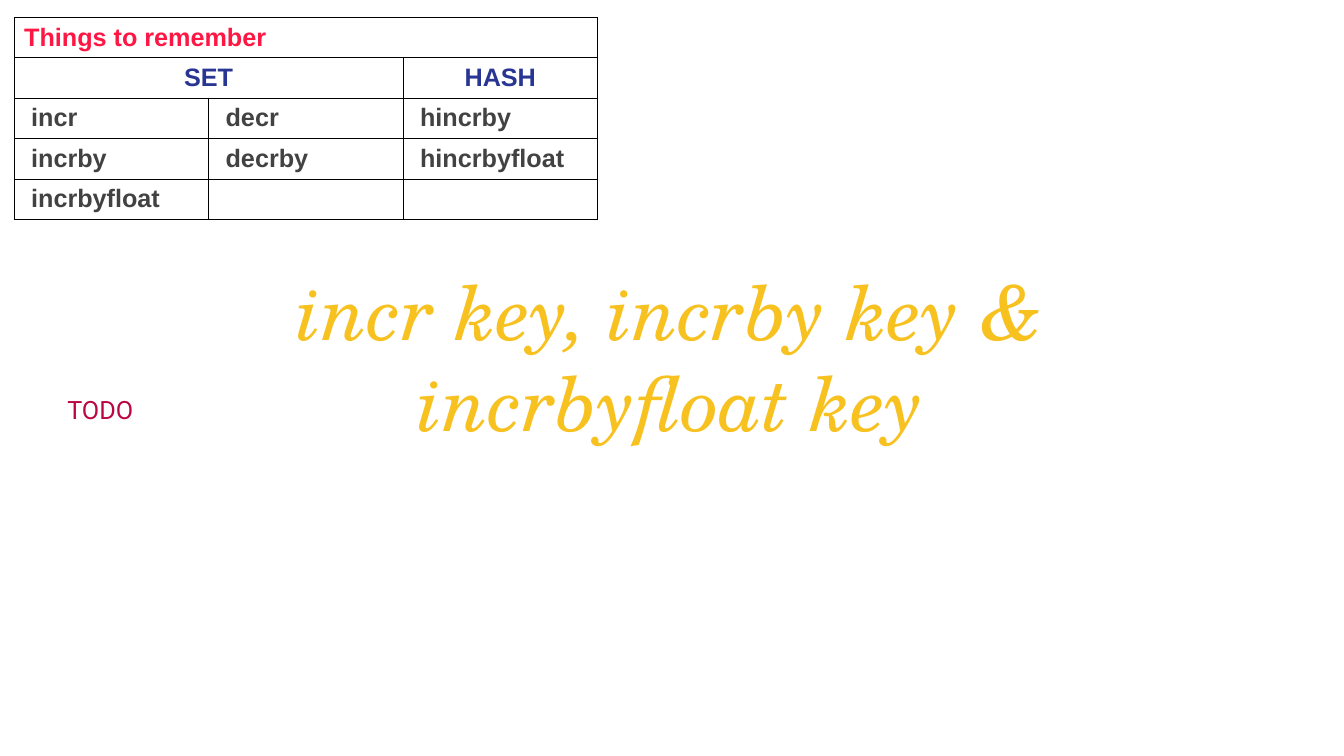
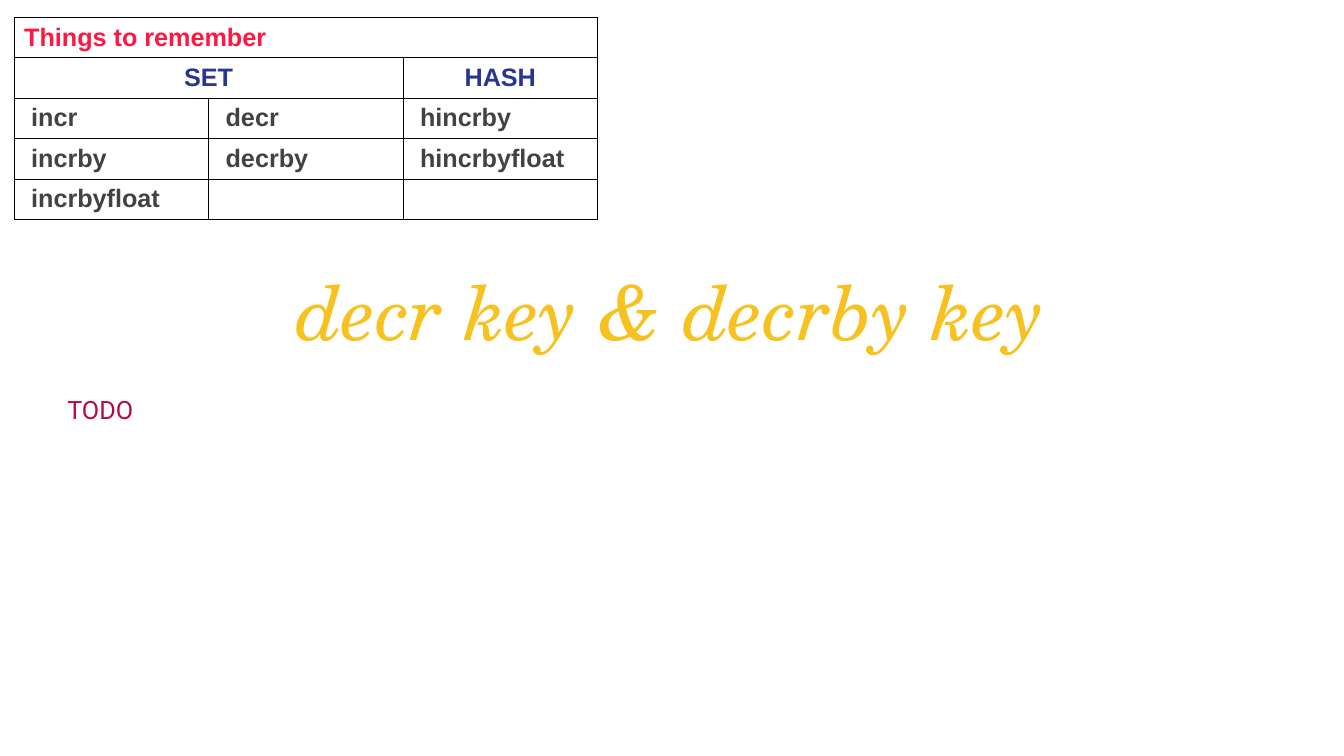
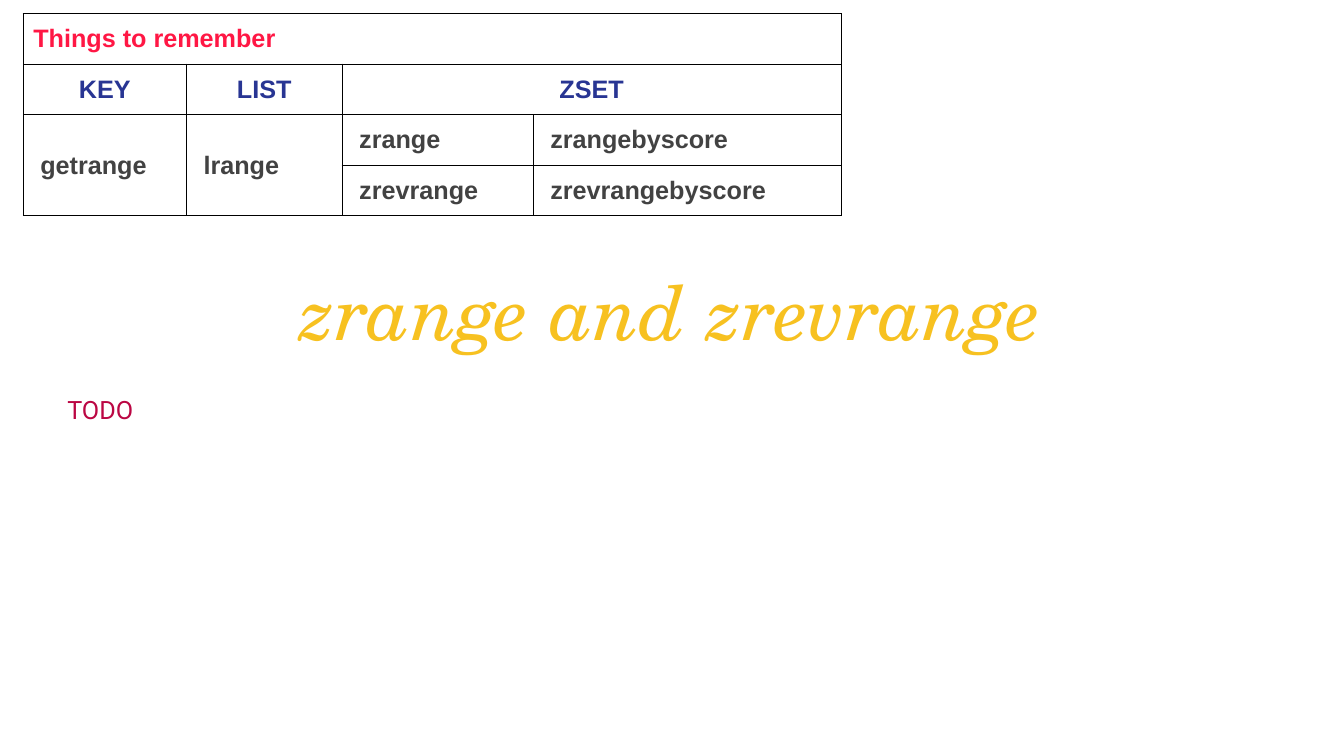
"""Build three slides on key-value store commands, each with a reminder table."""
import pptx
import pptx.dml.color
import pptx.enum.text
import pptx.oxml
import pptx.oxml.ns
import pptx.util

Pt = pptx.util.Pt
ALIGN = pptx.enum.text.PP_ALIGN
GOLD, CRIMSON, RED, NAVY, GREY, BLACK = "F7C120", "BB0643", "FF1744", "283593", "424242", "000000"

counter_table = {
    "left": 10.1, "top": 12.2, "columns": [138.9] * 3, "row_height": 28.9,
    "line": 0.34, "header_line": 0.34,
    "cells": [
        ["Things to remember", "", ""],
        ["SET", "", "HASH"],
        ["incr", "decr", "hincrby"],
        ["incrby", "decrby", "hincrbyfloat"],
        ["incrbyfloat", "", ""],
    ],
    "merges": [(0, 0, 0, 2), (1, 0, 1, 1)],
}
range_table = {
    "left": 16.6, "top": 9.8, "columns": [116.6, 111.2, 136.5, 220], "row_height": 36.1,
    "line": 0.62, "header_line": 1,
    "cells": [
        ["Things to remember", "", "", ""],
        ["KEY", "LIST", "ZSET", ""],
        ["getrange", "lrange", "zrange", "zrangebyscore"],
        ["", "", "zrevrange", "zrevrangebyscore"],
    ],
    "merges": [(0, 0, 0, 3), (1, 2, 1, 3), (2, 0, 3, 0), (2, 1, 3, 1)],
}
slides = [
    ("incr key, incrby key & incrbyfloat key", 136.8, counter_table),
    ("decr key & decrby key", 72, counter_table),
    ("zrange and zrevrange", 72, range_table),
]
row_styles = [(RED, ALIGN.LEFT, 7.2), (NAVY, ALIGN.CENTER, 7.2), (GREY, ALIGN.LEFT, 12.2)]


def style_text(frame, text, font, size, color, align, bold=False, italic=False):
    frame.text = text
    frame.word_wrap = True
    paragraph = frame.paragraphs[0]
    paragraph.alignment = align
    paragraph.font.size = Pt(size)
    for span in paragraph.runs:
        span.font.name = font
        span.font.size = Pt(size)
        span.font.bold = bold
        span.font.italic = italic
        span.font.color.rgb = pptx.dml.color.RGBColor.from_string(color)


def add_borders(cell, widths):
    properties = cell._tc.get_or_add_tcPr()
    for side, width in widths.items():
        properties.append(pptx.oxml.parse_xml(
            f'<a:ln{side} {pptx.oxml.ns.nsdecls("a")} w="{int(Pt(width))}">'
            f'<a:solidFill><a:srgbClr val="{BLACK}"/></a:solidFill></a:ln{side}>'))


deck = pptx.Presentation()
deck.slide_width, deck.slide_height = Pt(960), Pt(540)

for title, title_height, layout in slides:
    page = deck.slides.add_slide(deck.slide_layouts[6])

    title_box = page.shapes.add_textbox(Pt(131.8), Pt(185.8), Pt(694), Pt(title_height))
    style_text(title_box.text_frame, title, "TeX Gyre Schola", 54, GOLD, ALIGN.CENTER, italic=True)
    body_box = page.shapes.add_textbox(Pt(41), Pt(278), Pt(870.5), Pt(29))
    style_text(body_box.text_frame, "TODO", "Roboto", 18, CRIMSON, ALIGN.JUSTIFY)
    for box in (title_box, body_box):
        box.text_frame.auto_size = pptx.enum.text.MSO_AUTO_SIZE.SHAPE_TO_FIT_TEXT

    cells, columns, row_height = layout["cells"], layout["columns"], layout["row_height"]
    table = page.shapes.add_table(
        len(cells), len(columns), Pt(layout["left"]), Pt(layout["top"]),
        Pt(sum(columns)), Pt(row_height * len(cells))).table
    table.first_row = table.horz_banding = False
    for column, width in zip(table.columns, columns):
        column.width = Pt(width)
    for row_index, texts in enumerate(cells):
        table.rows[row_index].height = Pt(row_height)
        color, align, indent = row_styles[min(row_index, 2)]
        for column_index, text in enumerate(texts):
            cell = table.cell(row_index, column_index)
            style_text(cell.text_frame, text, "Arial", 18, color, align, bold=True)
            cell.margin_left = Pt(indent)
            cell.vertical_anchor = pptx.enum.text.MSO_ANCHOR.MIDDLE
            widths = dict.fromkeys("LRTB", layout["line"])
            if (row_index, column_index) == (0, 0):
                widths = dict.fromkeys("LRTB", layout["header_line"])
            elif row_index == 1:
                widths["T"] = layout["header_line"]
            add_borders(cell, widths)
            cell.fill.background()
    for top, left, bottom, right in layout["merges"]:
        table.cell(top, left).merge(table.cell(bottom, right))

deck.save("out.pptx")
